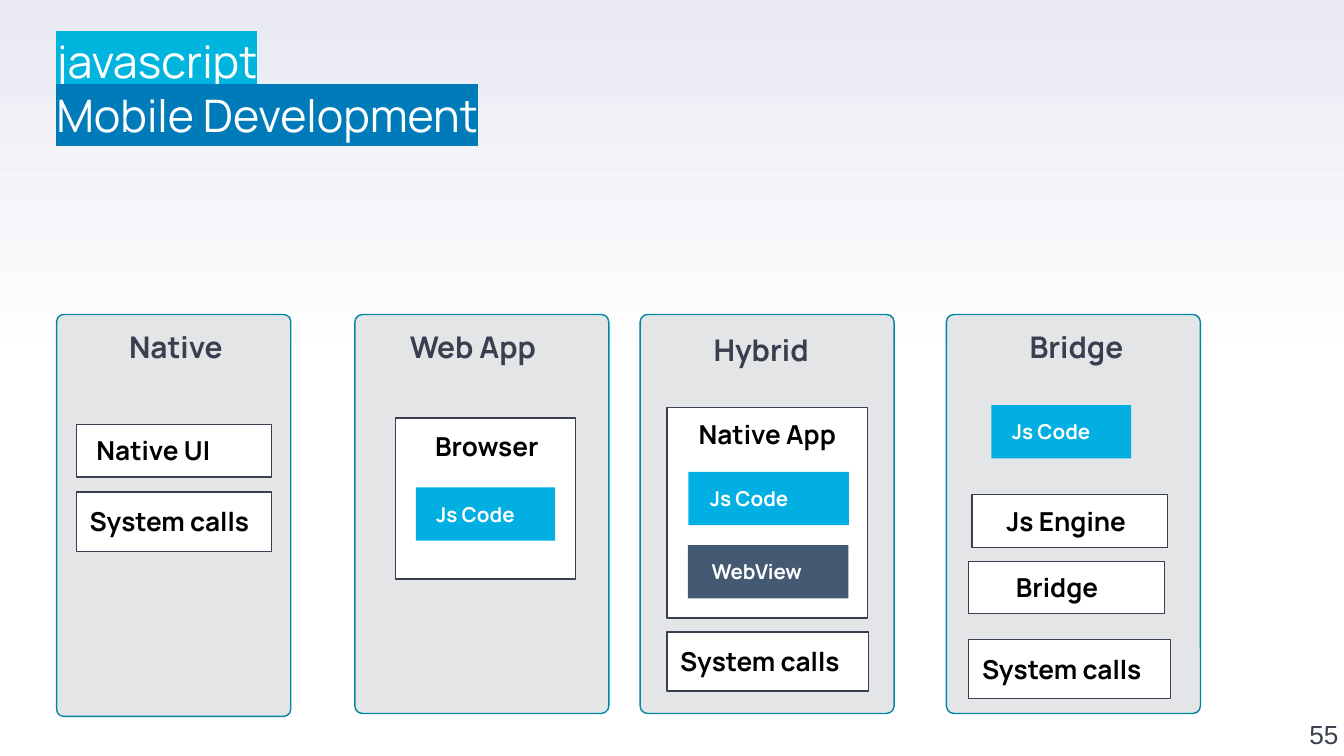
import pptx
import pptx.dml.color
import pptx.enum.shapes
import pptx.enum.text
import pptx.oxml
import pptx.oxml.ns
import pptx.util

Pt = pptx.util.Pt
RGBColor = pptx.dml.color.RGBColor
SHAPE = pptx.enum.shapes.MSO_SHAPE
ALIGN = pptx.enum.text.PP_ALIGN
ANCHOR = pptx.enum.text.MSO_ANCHOR
AUTO = pptx.enum.text.MSO_AUTO_SIZE

WHITE = RGBColor(0xFF, 0xFF, 0xFF)
BLACK = RGBColor(0, 0, 0)
LAVENDER = RGBColor(0xE9, 0xEA, 0xF2)
INK = RGBColor(0x3A, 0x3F, 0x50)
PANEL = RGBColor(0xE3, 0xE5, 0xE7)
TEAL = RGBColor(0x00, 0x86, 0xA3)
SKY = RGBColor(0x01, 0xAF, 0xE2)
SLATE = RGBColor(0x43, 0x5A, 0x72)
CYAN = RGBColor(0x00, 0xB5, 0xDD)
BLUE = RGBColor(0x00, 0x7B, 0xB9)

FONT = "Manrope"
PANEL_TOP = 168.5
HEADING_INDENT = 44.6


def set_font(p, size, color, bold=False, name=FONT):
    p.font.name = name
    p.font.size = Pt(size)
    p.font.bold = bold
    p.font.color.rgb = color


def clear_margins(tf):
    tf.margin_left = tf.margin_top = tf.margin_right = tf.margin_bottom = 0


def add_background(s):
    fill = s.background.fill
    fill.gradient()
    fill.gradient_angle = 90
    bottom, top = fill.gradient_stops
    bottom.position, bottom.color.rgb = 0.5, WHITE
    top.position, top.color.rgb = 1, LAVENDER


def add_title(s, lines):
    sp = s.shapes.title
    sp.left, sp.top, sp.width, sp.height = Pt(30.2), Pt(18), Pt(409.7), Pt(68)
    tf = sp.text_frame
    clear_margins(tf)
    tf.auto_size = AUTO.NONE
    tf.vertical_anchor = ANCHOR.TOP
    for i, (text, color) in enumerate(lines):
        p = tf.add_paragraph() if i else tf.paragraphs[0]
        p.alignment = ALIGN.LEFT
        p.line_spacing = 1.0
        p.space_before = Pt(0)
        set_font(p, 24, WHITE)
        r = p.add_run()
        r.text = text
        r.font._element.append(pptx.oxml.parse_xml(
            f'<a:highlight {pptx.oxml.ns.nsdecls("a")}>'
            f'<a:srgbClr val="{color}"/></a:highlight>'))


def add_box(s, x, y, w, h, fill, line=None, kind=SHAPE.RECTANGLE):
    sp = s.shapes.add_shape(kind, Pt(x), Pt(y), Pt(w), Pt(h))
    sp.shadow.inherit = False
    sp.fill.solid()
    sp.fill.fore_color.rgb = fill
    if line is None:
        sp.line.fill.background()
    else:
        sp.line.color.rgb = line
        sp.line.width = Pt(0.75)
    return sp


def add_text(s, text, x, y, w, h):
    tf = s.shapes.add_textbox(Pt(x), Pt(y), Pt(w), Pt(h)).text_frame
    tf.word_wrap = True
    p = tf.paragraphs[0]
    p.text = text
    return tf, p


def add_panel(s, x, w, h):
    sp = add_box(s, x, PANEL_TOP, w, h, PANEL, TEAL, SHAPE.ROUNDED_RECTANGLE)
    sp.adjustments[0] = 0.03


def add_heading(s, text, x, y, w, align):
    tf, p = add_text(s, text, x, y, w, 20.9)
    clear_margins(tf)
    p.alignment = align
    p.line_spacing = 1.1
    p._p.get_or_add_pPr().set("marL", str(Pt(HEADING_INDENT)))
    set_font(p, 16, INK, True)


def add_card(s, box, text, label):
    add_box(s, *box, WHITE, INK)
    p = add_text(s, text, *label, 24.5)[1]
    set_font(p, 14, BLACK, True)


def add_chip(s, box, text, label, fill=SKY):
    add_box(s, *box, fill)
    p = add_text(s, text, *label, 20.9)[1]
    set_font(p, 11, WHITE, True)


def add_number(s, text):
    tf, p = add_text(s, text, 681.1, 365, 36, 36.7)
    clear_margins(tf)
    tf.vertical_anchor = ANCHOR.BOTTOM
    p.alignment = ALIGN.RIGHT
    set_font(p, 14, INK, name="Arial")


def main():
    prs = pptx.Presentation()
    prs.slide_width, prs.slide_height = Pt(720), Pt(405)
    s = prs.slides.add_slide(prs.slide_layouts[5])
    add_background(s)
    add_title(s, [("javascript", CYAN), ("Mobile Development", BLUE)])

    for x, w, h in [(30.4, 125.4, 215.3), (190.1, 136.1, 213.8),
                    (342.9, 136.1, 213.8), (507, 136.1, 213.8)]:
        add_panel(s, x, w, h)
    for text, x, y, w, align in [
            ("Native", -31, 174.2, 205.9, ALIGN.CENTER),
            ("Web App", 175, 174.2, 153.4, ALIGN.LEFT),
            ("Hybrid", 337.7, 175.7, 102.2, ALIGN.LEFT),
            ("Bridge", 507, 174.2, 113, ALIGN.LEFT)]:
        add_heading(s, text, x, y, w, align)

    for box, text, label in [
            ((41, 227.6, 104.6, 28), "Native UI", (44.6, 229, 97.2)),
            ((41, 263.6, 104.6, 31.8), "System calls", (41, 267.2, 108)),
            ((211.8, 224, 96.5, 86.3), "Browser", (226.1, 227, 74.9)),
            ((357.3, 218.2, 107.4, 113), "Native App", (367.2, 220.4, 95)),
            ((357.3, 338.5, 108, 31.8), "System calls", (357.3, 342.4, 111.6)),
            ((520.8, 265, 104.8, 28.2), "Js Engine", (532, 267.2, 88.6)),
            ((519, 300.8, 104.8, 28), "Bridge", (537.2, 302.6, 69.1)),
            ((519, 342.6, 108, 31.6), "System calls", (519, 346.5, 111.6))]:
        add_card(s, box, text, label)

    add_chip(s, (222.8, 261.1, 74.6, 28.6), "Js Code", (226.6, 265.2, 67))
    add_chip(s, (368.8, 252.8, 86, 28.6), "Js Code", (373.2, 256.8, 77))
    add_chip(s, (368.6, 292, 86, 28.6), "WebView", (374.2, 296, 76.3), SLATE)
    add_chip(s, (531.1, 217, 74.9, 28.6), "Js Code", (535, 221, 67))
    add_number(s, "55")
    prs.save("out.pptx")


if __name__ == "__main__":
    main()
